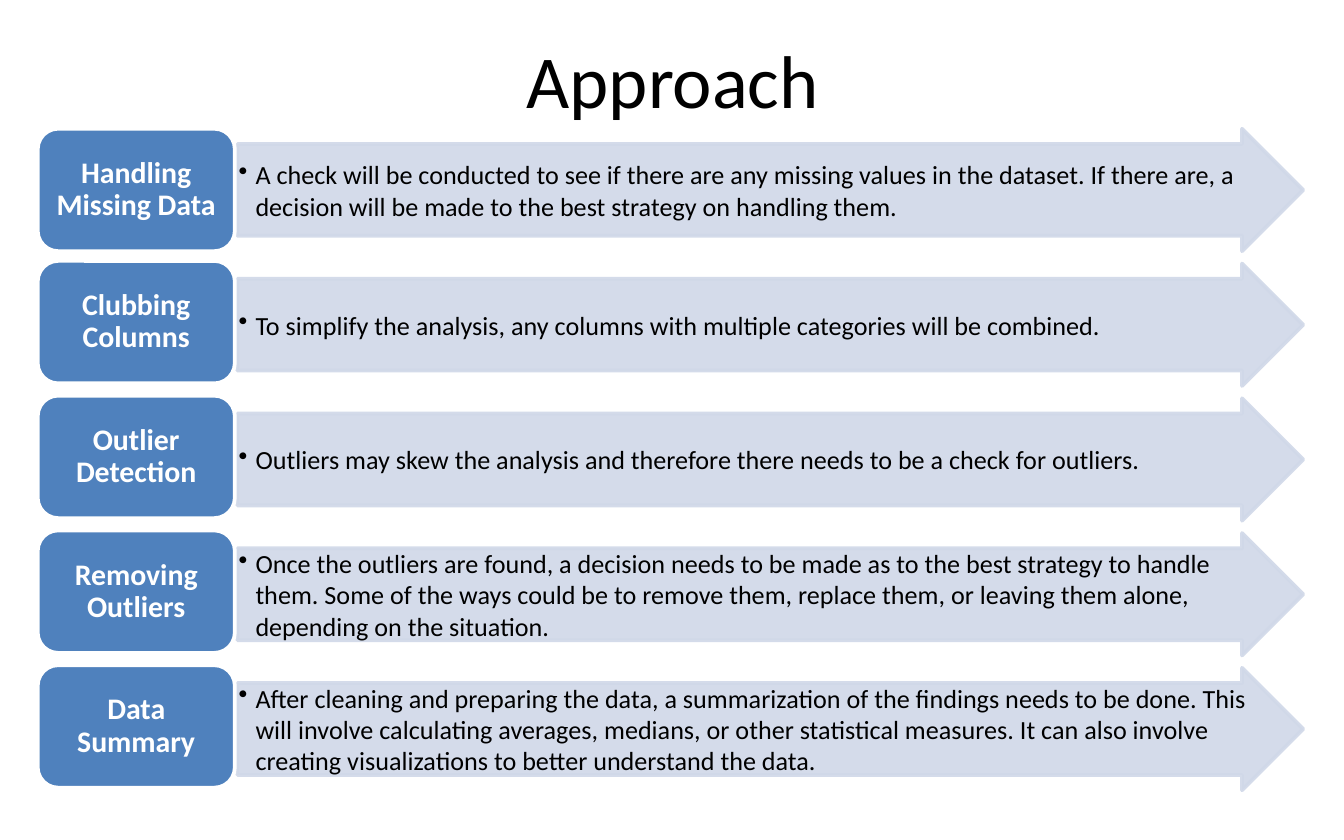
import pptx
import pptx.util
import pptx.dml.color
import pptx.enum.shapes
import pptx.enum.text
import pptx.oxml.ns
import pptx.oxml.xmlchemy

Pt = pptx.util.Pt
Kind = pptx.enum.shapes.MSO_SHAPE
Align = pptx.enum.text.PP_ALIGN
qn = pptx.oxml.ns.qn
make = pptx.oxml.xmlchemy.OxmlElement

title = "Approach"
steps = [
    ("Handling Missing Data",
     "A check will be conducted to see if there are any missing values in the dataset. "
     "If there are, a decision will be made to the best strategy on handling them."),
    ("Clubbing Columns",
     "To simplify the analysis, any columns with multiple categories will be combined."),
    ("Outlier Detection",
     "Outliers may skew the analysis and therefore there needs to be a check for outliers."),
    ("Removing Outliers",
     "Once the outliers are found, a decision needs to be made as to the best strategy to handle them. "
     "Some of the ways could be to remove them, replace them, or leaving them alone, "
     "depending on the situation."),
    ("Data Summary",
     "After cleaning and preparing the data, a summarization of the findings needs to be done. "
     "This will involve calculating averages, medians, or other statistical measures. "
     "It can also involve creating visualizations to better understand the data."),
]

hues = {"text": "000000", "label": "4F81BD", "arrow": "D0D8E8", "white": "FFFFFF"}
fonts = {
    "title": {"name": "Calibri", "size": Pt(40), "bold": False},
    "label": {"name": "Calibri", "size": Pt(16), "bold": True},
    "detail": {"name": "Calibri", "size": Pt(14), "bold": False},
}
paras = {
    "title": {"alignment": Align.CENTER},
    "label": {"alignment": Align.CENTER, "line_spacing": 0.9},
    "detail": {"alignment": Align.LEFT, "level": 1},
}
top, pitch, high = 69, 72.2, 65.6
left, wide = 20.2, 105.6
start, span = 127.2, 571
lift, indent = 1.4, 9


def apply(item, values):
    for name, value in values.items():
        setattr(item, name, value)


def tint(key):
    return pptx.dml.color.RGBColor.from_string(hues[key])


def write(shape, text, role, hue, pad):
    frame = shape.text_frame
    side, edge = map(Pt, pad)
    apply(frame, {
        "text": text, "word_wrap": True,
        "auto_size": pptx.enum.text.MSO_AUTO_SIZE.NONE,
        "vertical_anchor": pptx.enum.text.MSO_ANCHOR.MIDDLE,
        "margin_left": side, "margin_right": side,
        "margin_top": edge, "margin_bottom": edge,
    })
    para = frame.paragraphs[0]
    apply(para, paras[role])
    font = para.runs[0].font
    apply(font, fonts[role])
    font.color.rgb = tint(hue)
    return para


def draw(slide, kind, box, fill, line):
    shape = slide.shapes.add_shape(kind, *map(Pt, box))
    shape.shadow.inherit = False
    shape.fill.solid()
    shape.fill.fore_color.rgb = tint(fill)
    shape.line.color.rgb = tint(line)
    shape.line.width = Pt(2)
    return shape


def fade(shape, share):
    for color in shape.element.spPr.iter(qn("a:srgbClr")):
        alpha = make("a:alpha")
        alpha.set("val", str(share * 1000))
        color.append(alpha)


def bullet(para):
    props = para._p.get_or_add_pPr()
    props.set("marL", str(Pt(indent)))
    props.set("indent", str(Pt(-indent)))
    mark = make("a:buChar")
    mark.set("char", "•")
    props.append(mark)


def main():
    deck = pptx.Presentation()
    apply(deck, {"slide_width": Pt(720), "slide_height": Pt(450)})
    slide = deck.slides.add_slide(deck.slide_layouts[5])
    head = slide.shapes.title
    apply(head, {"left": Pt(19.4), "top": Pt(0), "width": Pt(682), "height": Pt(84.2)})
    write(head, title, "title", "text", (7.2, 3.6))

    for row, (name, detail) in enumerate(steps):
        y = top + row * pitch
        arrow = draw(slide, Kind.RIGHT_ARROW, (start, y, span, high), "arrow", "arrow")
        arrow.adjustments[0] = 0.75
        fade(arrow, 90)
        bullet(write(arrow, detail, "detail", "text", (0.7, 0.7)))
        box = (left, max(top, y - lift), wide, high)
        label = draw(slide, Kind.ROUNDED_RECTANGLE, box, "label", "white")
        write(label, name, "label", "white", (4.8, 2.4))

    deck.save("out.pptx")


if __name__ == "__main__":
    main()
